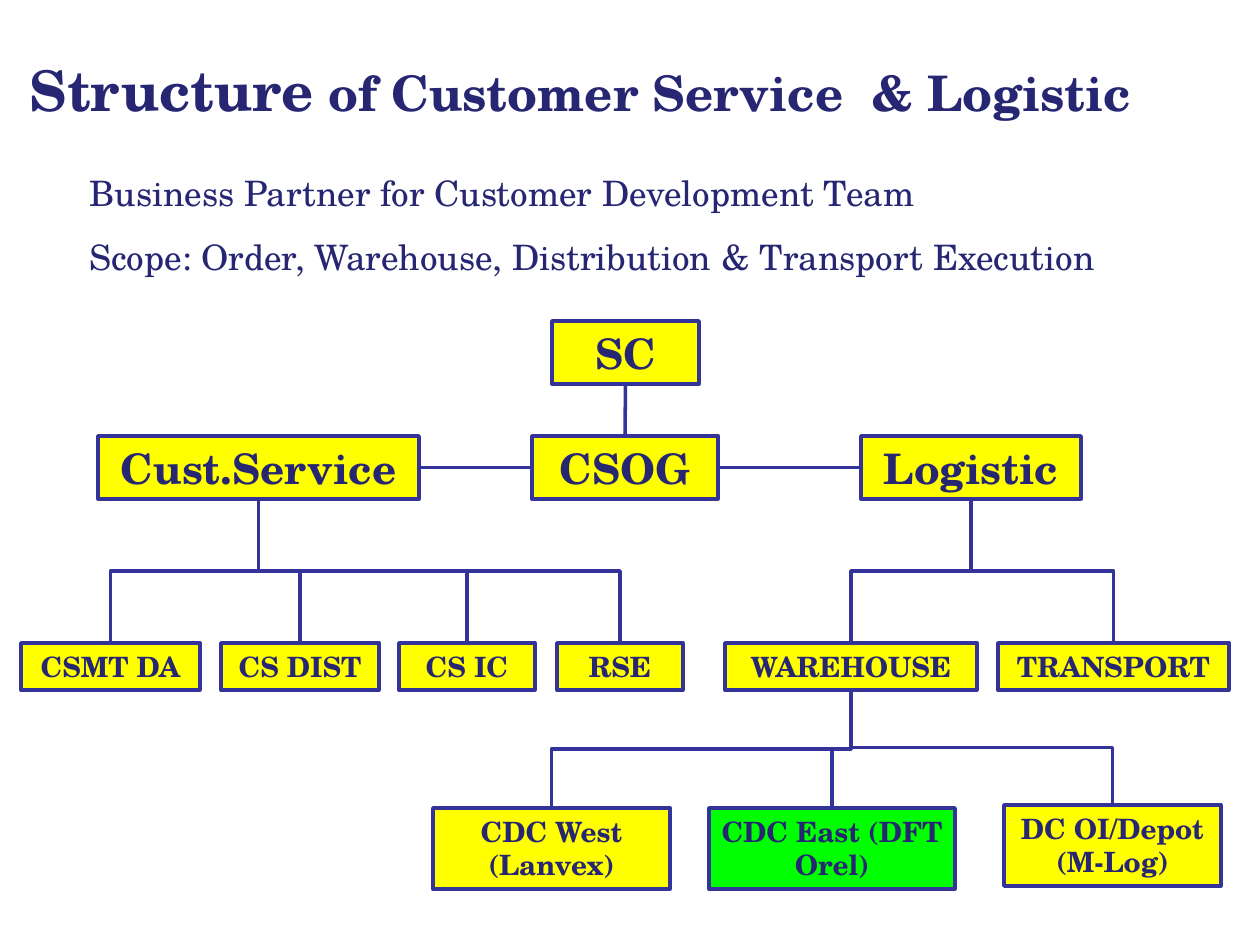
import pptx
import pptx.dml.color
import pptx.enum.shapes
import pptx.enum.text
import pptx.oxml.ns
import pptx.util
from lxml import etree

SCALE = 914400 / 126  # EMU per px
FONT = "TeX Gyre Schola"
NAVY = pptx.dml.color.RGBColor(0x26, 0x26, 0x73)
INDIGO = pptx.dml.color.RGBColor(0x33, 0x33, 0x99)
YELLOW = pptx.dml.color.RGBColor(0xFF, 0xFF, 0x00)
GREEN = pptx.dml.color.RGBColor(0x00, 0xFF, 0x00)

TOP, LEFT, BOTTOM, RIGHT = range(4)  # connection sites of a rectangle
UNIT_HEIGHT, TEAM_HEIGHT, CENTRE_HEIGHT = 63, 47, 81

# name: (left, top, width, height, text size, fill)
BOXES = {
    "SC": (552, 321, 147, UNIT_HEIGHT, 24, YELLOW),
    "Cust.Service": (98, 436, 321, UNIT_HEIGHT, 24, YELLOW),
    "CSOG": (532, 436, 186, UNIT_HEIGHT, 24, YELLOW),
    "Logistic": (861, 436, 220, UNIT_HEIGHT, 24, YELLOW),
    "CSMT DA": (21, 643, 179, TEAM_HEIGHT, 16, YELLOW),
    "CS DIST": (221, 643, 158, TEAM_HEIGHT, 16, YELLOW),
    "CS IC": (399, 643, 136, TEAM_HEIGHT, 16, YELLOW),
    "RSE": (557, 643, 126, TEAM_HEIGHT, 16, YELLOW),
    "WAREHOUSE": (725, 643, 252, TEAM_HEIGHT, 16, YELLOW),
    "TRANSPORT": (998, 643, 231, TEAM_HEIGHT, 16, YELLOW),
    "CDC West (Lanvex)": (433, 808, 237, CENTRE_HEIGHT, 16, YELLOW),
    "CDC East (DFT Orel)": (709, 808, 246, CENTRE_HEIGHT, 16, GREEN),
    "DC OI/Depot (M-Log)": (1004, 805, 217, CENTRE_HEIGHT, 16, YELLOW),
}

BRANCHES = {
    "Cust.Service": ("CSMT DA", "CS DIST", "CS IC", "RSE"),
    "Logistic": ("WAREHOUSE", "TRANSPORT"),
    "WAREHOUSE": ("CDC West (Lanvex)", "CDC East (DFT Orel)", "DC OI/Depot (M-Log)"),
}


def px(value):
    return pptx.util.Emu(round(value * SCALE))


def set_attributes(target, values):
    for name, value in values.items():
        setattr(target, name, value)


def add_run(paragraph, text, size, bold):
    run = paragraph.add_run()
    run.text = text
    set_attributes(run.font, {"name": FONT, "size": pptx.util.Pt(size), "bold": bold})
    run.font.color.rgb = NAVY


def add_text(slide, bounds, paragraphs, frame_format, space_before=0):
    shape = slide.shapes.add_textbox(*map(px, bounds))
    frame = shape.text_frame
    set_attributes(frame, {"word_wrap": True, **frame_format})
    for index, runs in enumerate(paragraphs):
        paragraph = frame.add_paragraph() if index else frame.paragraphs[0]
        if index:
            paragraph.space_before = pptx.util.Pt(space_before)
        for text, size, bold in runs:
            add_run(paragraph, text, size, bold)


def add_box(slide, name, left, top, width, height, size, fill):
    shape = slide.shapes.add_shape(
        pptx.enum.shapes.MSO_SHAPE.RECTANGLE, *map(px, (left, top, width, height)))
    shape.shadow.inherit = False
    shape.fill.solid()
    shape.fill.fore_color.rgb = fill
    shape.line.color.rgb = INDIGO
    shape.line.width = pptx.util.Pt(2)
    set_attributes(shape.text_frame, {
        "word_wrap": True,
        "vertical_anchor": pptx.enum.text.MSO_ANCHOR.TOP,
        "auto_size": pptx.enum.text.MSO_AUTO_SIZE.SHAPE_TO_FIT_TEXT,
    })
    paragraph = shape.text_frame.paragraphs[0]
    paragraph.alignment = pptx.enum.text.PP_ALIGN.CENTER
    add_run(paragraph, name, size, True)
    return shape


def add_link(slide, kind, start, start_site, end, end_site):
    connector = slide.shapes.add_connector(kind, 0, 0, 0, 0)
    connector.begin_connect(start, start_site)
    connector.end_connect(end, end_site)
    connector.line.color.rgb = INDIGO
    connector.line.width = pptx.util.Pt(2)
    etree.SubElement(connector.element.spPr, pptx.oxml.ns.qn("a:effectLst"))
    return connector


def add_branch(slide, parent, child):
    """Elbow that leaves the parent downwards: a quarter-turned connector."""
    connector = add_link(slide, pptx.enum.shapes.MSO_CONNECTOR.ELBOW,
                         parent, BOTTOM, child, TOP)
    start_x, start_y = connector.begin_x, connector.begin_y
    end_x, end_y = connector.end_x, connector.end_y
    drop, reach = end_y - start_y, abs(end_x - start_x)
    set_attributes(connector, {
        "left": (start_x + end_x - drop) // 2,
        "top": (start_y + end_y - reach) // 2,
        "width": drop,
        "height": reach,
    })
    to_right = end_x > start_x
    transform = connector.element.spPr.find(pptx.oxml.ns.qn("a:xfrm"))
    transform.set("rot", str((270 if to_right else 90) * 60000))
    transform.set("flipH", "1" if to_right else "0")
    transform.set("flipV", "0")


def main():
    presentation = pptx.Presentation()
    presentation.slide_width = px(1260)
    presentation.slide_height = px(945)
    slide = presentation.slides.add_slide(presentation.slide_layouts[6])

    # Title and scope
    title_format = dict.fromkeys(
        ("margin_left", "margin_top", "margin_right", "margin_bottom"), 0)
    title_format["vertical_anchor"] = pptx.enum.text.MSO_ANCHOR.MIDDLE
    add_text(slide, (30, 10, 1250, 158),
             [[("Structure", 32, True),
               (" of Customer Service  & Logistic", 28, True)]], title_format)
    add_text(slide, (77, 165, 1099, 118),
             [[("Business Partner for Customer Development Team", 20, False)],
              [("Scope: Order, Warehouse, Distribution & Transport Execution", 20, False)]],
             {"auto_size": pptx.enum.text.MSO_AUTO_SIZE.SHAPE_TO_FIT_TEXT},
             space_before=12.5)

    # Organisation boxes
    boxes = {name: add_box(slide, name, *values) for name, values in BOXES.items()}

    # Links of the upper two levels
    straight = pptx.enum.shapes.MSO_CONNECTOR.STRAIGHT
    add_link(slide, straight, boxes["SC"], BOTTOM, boxes["CSOG"], TOP)
    add_link(slide, straight, boxes["Cust.Service"], RIGHT, boxes["CSOG"], LEFT)
    add_link(slide, straight, boxes["CSOG"], RIGHT, boxes["Logistic"], LEFT)

    # Branches to the lower levels
    for parent, children in BRANCHES.items():
        for child in children:
            add_branch(slide, boxes[parent], boxes[child])

    presentation.save("out.pptx")


if __name__ == "__main__":
    main()
